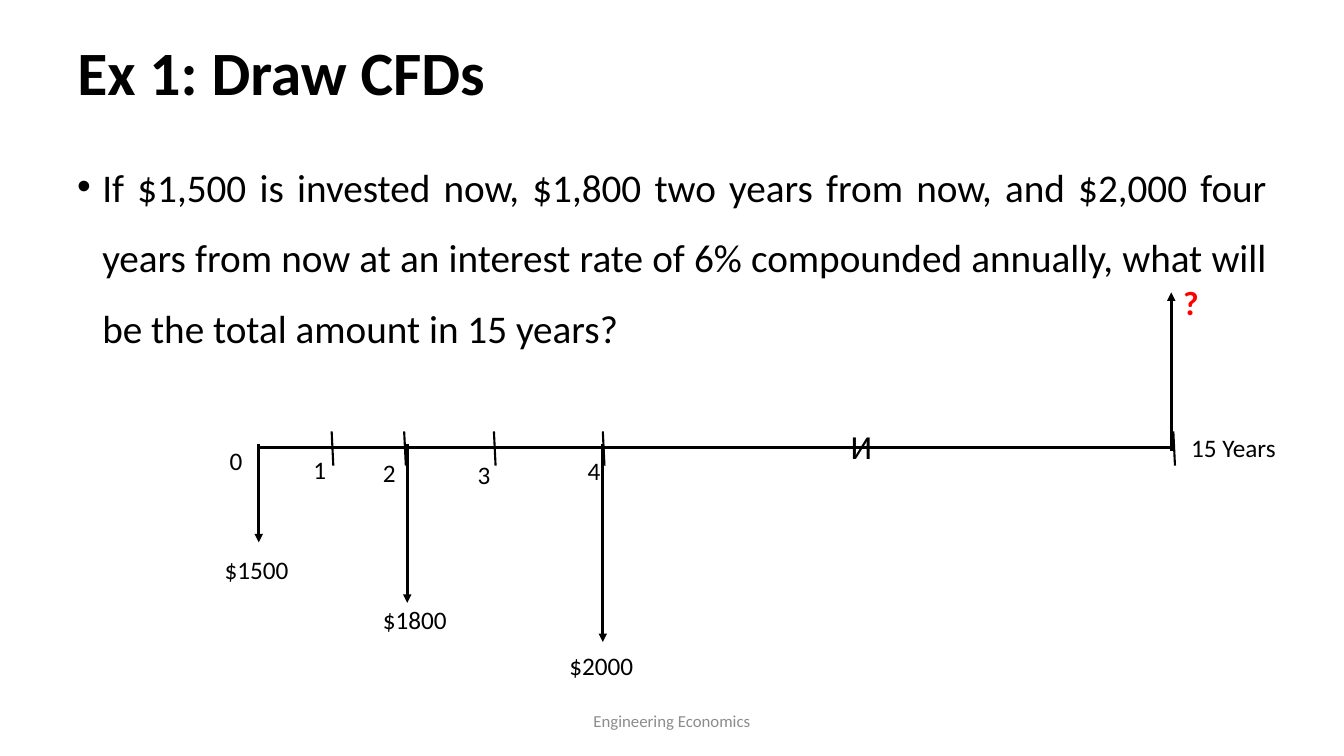
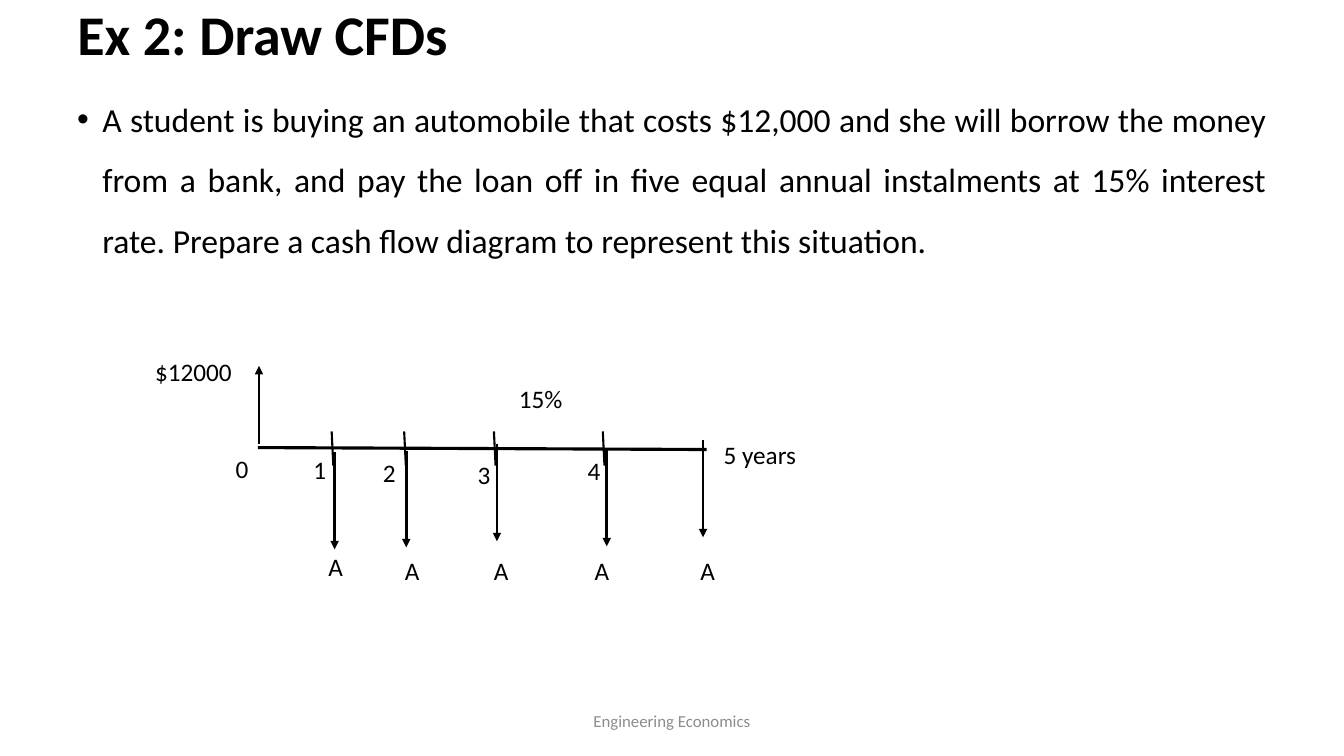
from dataclasses import dataclass

from lxml import etree
from pptx import Presentation
from pptx.dml.color import RGBColor
from pptx.enum import shapes, text
from pptx.oxml import ns
from pptx.util import Pt


@dataclass(frozen=True)
class Theme:
    font: str = "Calibri"
    ink: str = "000000"
    grey: str = "8C8C8C"
    red: str = "FF0000"
    label: int = 18
    mark: int = 24
    foot: int = 12
    axis: float = 2.25
    flow: float = 2
    tick: float = 1.5


T = Theme()
LEFT, MID = text.PP_ALIGN.LEFT, text.MSO_ANCHOR.MIDDLE


def put(slide, words, x, y, w=16, h=29, box=None, size=T.label, color=T.ink,
        bold=False, align=LEFT, anchor=text.MSO_ANCHOR.TOP, space=None,
        before=None, bullet=False):
    """Write text into a placeholder, or into a new text box if none is given."""
    box = box or slide.shapes.add_textbox(0, 0, 0, 0)
    box.left, box.top, box.width, box.height = Pt(x), Pt(y), Pt(w), Pt(h)
    frame = box.text_frame
    frame.word_wrap = True
    frame.auto_size = text.MSO_AUTO_SIZE.NONE
    frame.vertical_anchor = anchor
    para = frame.paragraphs[0]
    para.alignment = align
    if space:
        para.line_spacing = space
    if before:
        para.space_before = Pt(before)
    if bullet:
        props = para._p.get_or_add_pPr()
        props.set("marL", str(Pt(18)))
        props.set("indent", str(Pt(-18)))
        etree.SubElement(props, ns.qn("a:buFont"), typeface="Arial")
        etree.SubElement(props, ns.qn("a:buChar"), char="•")
    run = para.add_run()
    run.text = words
    run.font.name, run.font.size, run.font.bold = T.font, Pt(size), bold
    run.font.color.rgb = RGBColor.from_string(color)


def draw(slide, x1, y1, x2, y2, width, arrow=False):
    line = slide.shapes.add_connector(
        shapes.MSO_CONNECTOR.STRAIGHT, Pt(x1), Pt(y1), Pt(x2), Pt(y2))
    line.line.width = Pt(width)
    line.line.color.rgb = RGBColor.from_string(T.ink)
    props = line._element.spPr
    if arrow:
        etree.SubElement(props.find(ns.qn("a:ln")), ns.qn("a:tailEnd"),
                         type="triangle")
    etree.SubElement(props, ns.qn("a:effectLst"))


# Years 1 to 4 stand at the same places on both slides.
TICKS = [236.9, 288.7, 352.8, 430.6]
YEARS = [("1", 216.7, 321.1), ("2", 266.4, 323.3),
         ("3", 334.1, 324.7), ("4", 412.6, 321.8)]

# title and body: top, height, size; flows: x, start, end; labels: text, x, y, width
SLIDES = [
    dict(
        title="Ex 1: Draw CFDs", head=(9, 90, 44), body=(96, 384, 28),
        task="If $1,500 is invested now, $1,800 two years from now, and $2,000 "
             "four years from now at an interest rate of 6% compounded annually, "
             "what will be the total amount in 15 years?",
        axis=(184.3, 319.7, 839.5, 319.7),
        ticks=TICKS + [838.1],
        flows=[(184.8, 317.5, 387.4), (290.9, 317.5, 430.6),
               (430.6, 316.8, 458.6), (836.6, 321.8, 208.8)],
        labels=[("0", 157, 314.6, 16), ("15 Years", 843.8, 305.3, 87),
                ("$1500", 153.4, 392.4, 62), ("$1800", 266.4, 428.4, 62),
                ("$2000", 399.6, 460.8, 62)],
        marks=[("?", 838.1, 198, T.red, True), ("И", 600.5, 301, T.ink, False)],
    ),
    dict(
        title="Ex 2: Draw CFDs", head=(0, 53, 40), body=(52.5, 416, 24),
        task="A student is buying an automobile that costs $12,000 and she will "
             "borrow the money from a bank, and pay the loan off in five equal "
             "annual instalments at 15% interest rate. Prepare a cash flow "
             "diagram to represent this situation.",
        axis=(184.3, 319.7, 504.7, 321.1),
        ticks=TICKS,
        flows=[(185, 317.5, 261.4), (239, 322.6, 392.4), (290.2, 321.8, 391),
               (355, 316.8, 386.6), (433.4, 320.4, 390.2), (502.2, 314.6, 383.8)],
        labels=[("0", 161.3, 320.4, 16), ("5 years", 509.8, 310.3, 94),
                ("$12000", 103.7, 251.3, 84), ("15%", 363.6, 270, 53),
                ("A", 227.5, 390.2, 32)]
               + [("A", x, 393.1, 32) for x in (282.2, 345.6, 417.6, 493.2)],
        marks=[],
    ),
]

deck = Presentation()
deck.slide_width, deck.slide_height = Pt(960), Pt(540)

for item in SLIDES:
    slide = deck.slides.add_slide(deck.slide_layouts[5])
    top, high, size = item["head"]
    put(slide, item["title"], 48, top, 864, high, box=slide.shapes.title,
        size=size, bold=True, anchor=MID, space=0.9)
    top, high, size = item["body"]
    put(slide, item["task"], 48, top, 864, high, size=size,
        align=text.PP_ALIGN.JUSTIFY, space=1.5, before=10, bullet=True)
    put(slide, "Engineering Economics", 318, 500.5, 324, 29, size=T.foot,
        color=T.grey, align=text.PP_ALIGN.CENTER, anchor=MID)

    draw(slide, *item["axis"], T.axis)
    for x in item["ticks"]:
        draw(slide, x, 308.2, x + 1.2, 332.6, T.tick)
    for x, start, end in item["flows"]:
        draw(slide, x, start, x, end, T.flow, arrow=True)

    for year, x, y in YEARS:
        put(slide, year, x, y, 21)
    for words, x, y, wide in item["labels"]:
        put(slide, words, x, y, wide)
    for sign, x, y, color, bold in item["marks"]:
        put(slide, sign, x, y, 62, 36, size=T.mark, color=color, bold=bold)

deck.save("out.pptx")
